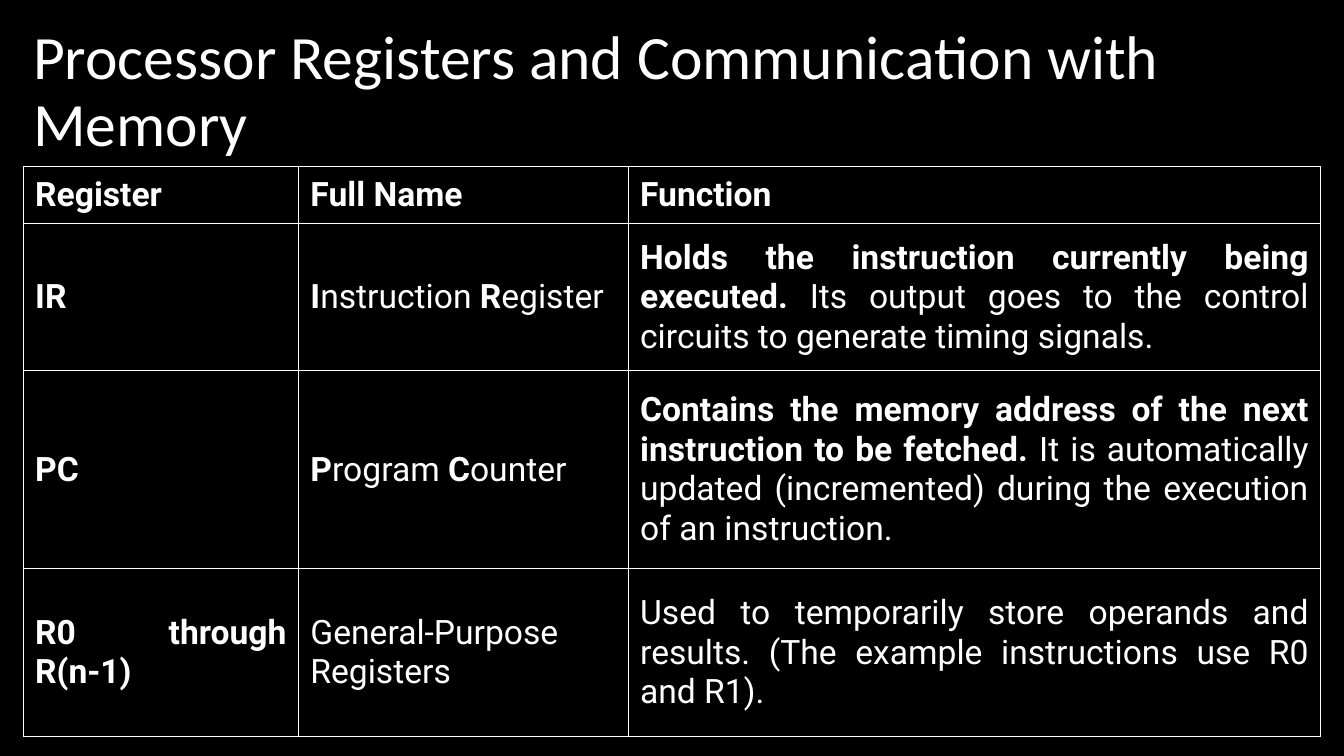
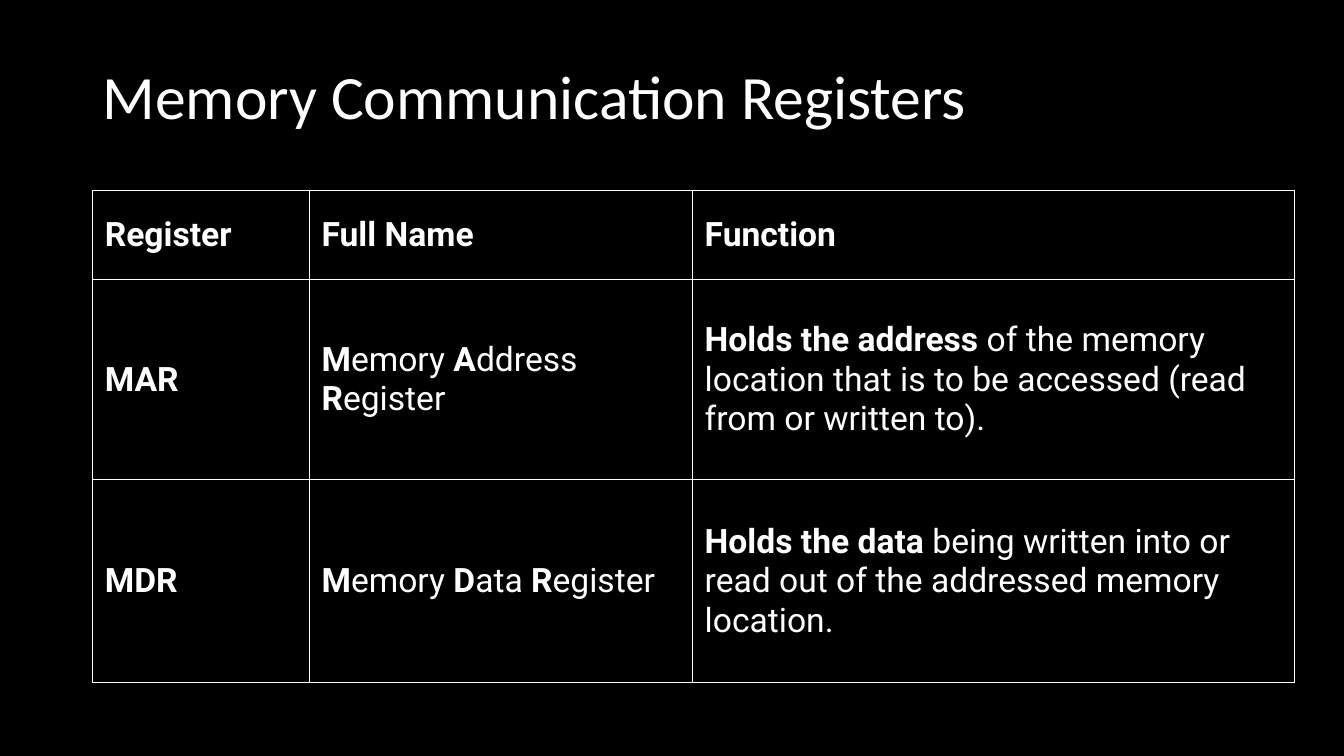
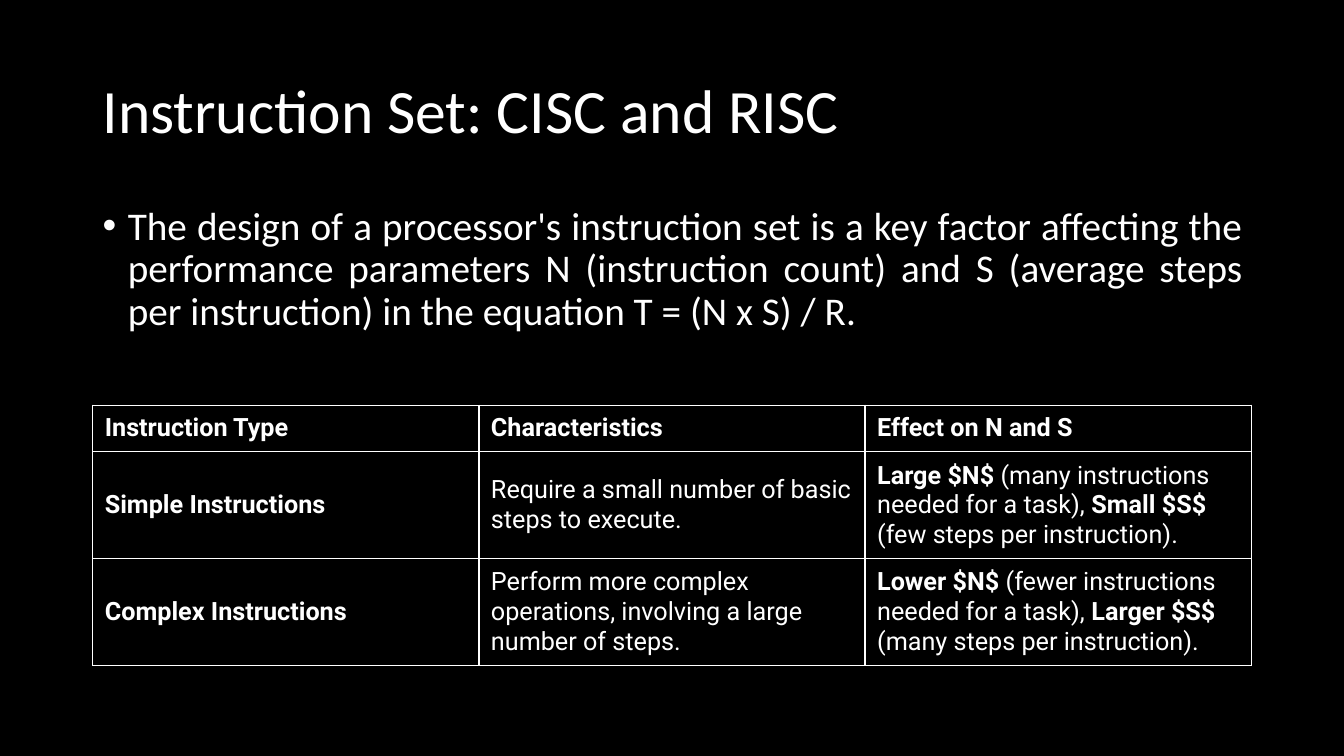
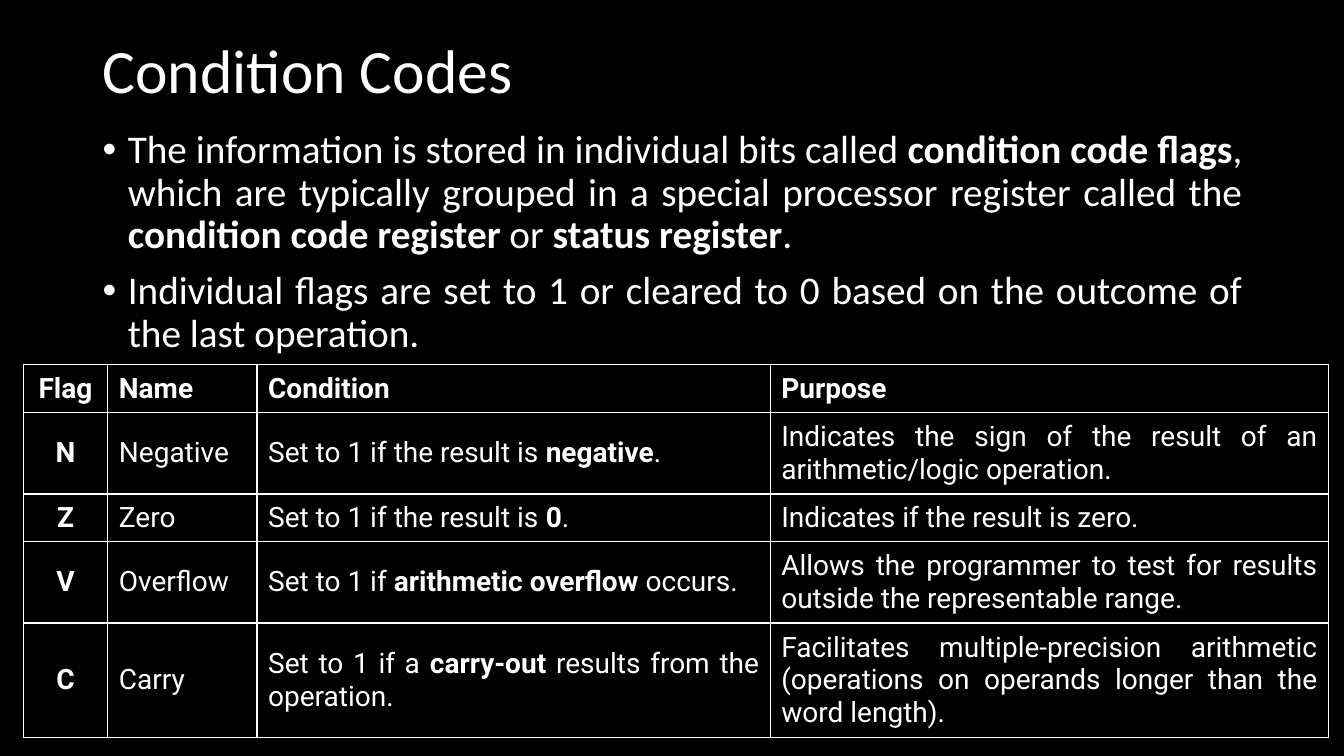
from lxml import etree
from pptx import Presentation
from pptx.dml.color import RGBColor
from pptx.enum.text import MSO_ANCHOR, PP_ALIGN
from pptx.oxml.ns import qn
from pptx.util import Inches, Pt

BLACK = RGBColor(0x00, 0x00, 0x00)
WHITE = RGBColor(0xFF, 0xFF, 0xFF)
TEXT_FONT = "Calibri"
TABLE_FONT = "Roboto"
LEFT, CENTER, JUSTIFY = PP_ALIGN.LEFT, PP_ALIGN.CENTER, PP_ALIGN.JUSTIFY
TOP, MIDDLE = MSO_ANCHOR.TOP, MSO_ANCHOR.MIDDLE
BORDER_SIDES = ("a:lnL", "a:lnR", "a:lnT", "a:lnB")
BORDER_WIDTH = Pt(1)
BULLET_INDENT = Inches(0.25)
TITLE_HEIGHT = 1.45
BODY_HEIGHT = 4.76
LINE_SPACING = 0.9

REGISTERS = [
    ["*Register*", "*Full Name*", "*Function*"],
    ["*IR*", "*I*nstruction *R*egister",
     "*Holds the instruction currently being executed.* Its output goes to the "
     "control circuits to generate timing signals."],
    ["*PC*", "*P*rogram *C*ounter",
     "*Contains the memory address of the next instruction to be fetched.* It is "
     "automatically updated (incremented) during the execution of an instruction."],
    ["*R0 through R(n-1)*", "General-Purpose Registers",
     "Used to temporarily store operands and results. (The example instructions "
     "use R0 and R1)."],
]
MEMORY_REGISTERS = [
    ["*Register*", "*Full Name*", "*Function*"],
    ["*MAR*", "*M*emory *A*ddress *R*egister",
     "*Holds the address* of the memory location that is to be accessed (read "
     "from or written to)."],
    ["*MDR*", "*M*emory *D*ata *R*egister",
     "*Holds the data* being written into or read out of the addressed memory "
     "location."],
]
INSTRUCTION_TYPES = [
    ["*Instruction Type*", "*Characteristics*", "*Effect on N and S*"],
    ["*Simple Instructions*", "Require a small number of basic steps to execute.",
     "*Large $N$* (many instructions needed for a task), *Small $S$* (few steps "
     "per instruction)."],
    ["*Complex Instructions*",
     "Perform more complex operations, involving a large number of steps.",
     "*Lower $N$* (fewer instructions needed for a task), *Larger $S$* (many "
     "steps per instruction)."],
]
FLAGS = [
    ["*Flag*", "*Name*", "*Condition*", "*Purpose*"],
    ["*N*", "Negative", "Set to 1 if the result is *negative*.",
     "Indicates the sign of the result of an arithmetic/logic operation."],
    ["*Z*", "Zero", "Set to 1 if the result is *0*.",
     "Indicates if the result is zero."],
    ["*V*", "Overflow", "Set to 1 if *arithmetic overflow* occurs.",
     "Allows the programmer to test for results outside the representable range."],
    ["*C*", "Carry", "Set to 1 if a *carry-out* results from the operation.",
     "Facilitates multiple-precision arithmetic (operations on operands longer "
     "than the word length)."],
]
INSTRUCTION_SET_POINTS = [
    "The design of a processor's instruction set is a key factor affecting the "
    "performance parameters N (instruction count) and S (average steps per "
    "instruction) in the equation T = (N x S) / R.",
]
CONDITION_CODE_POINTS = [
    "The information is stored in individual bits called *condition code flags*, "
    "which are typically grouped in a special processor register called the "
    "*condition code register* or *status register*.",
    "Individual flags are set to 1 or cleared to 0 based on the outcome of the "
    "last operation.",
]


def add_runs(para, marked_text, font, size):
    for index, part in enumerate(marked_text.split("*")):
        if part:
            span = para.add_run()
            span.text = part
            span.font.name = font
            span.font.size = Pt(size)
            span.font.bold = index % 2 == 1
            span.font.color.rgb = WHITE


def add_text_frame(page, left, top, width, height, anchor):
    box = page.shapes.add_textbox(
        Inches(left), Inches(top), Inches(width), Inches(height))
    frame = box.text_frame
    frame.word_wrap = True
    frame.vertical_anchor = anchor
    return frame


def add_title(page, text, left, top, width=11.5):
    frame = add_text_frame(page, left, top, width, TITLE_HEIGHT, MIDDLE)
    para = frame.paragraphs[0]
    para.line_spacing = LINE_SPACING
    add_runs(para, text, TEXT_FONT, 44)


def add_bullets(page, points, left, top, width=11.5):
    frame = add_text_frame(page, left, top, width, BODY_HEIGHT, TOP)
    for index, point in enumerate(points):
        para = frame.add_paragraph() if index else frame.paragraphs[0]
        para.alignment = JUSTIFY
        para.line_spacing = LINE_SPACING
        if index:
            para.space_before = Pt(10)
        properties = para._p.get_or_add_pPr()
        properties.set("marL", str(BULLET_INDENT))
        properties.set("indent", str(-BULLET_INDENT))
        etree.SubElement(properties, qn("a:buFont")).set("typeface", "Arial")
        etree.SubElement(properties, qn("a:buChar")).set("char", "•")
        add_runs(para, point, TEXT_FONT, 28)


def add_borders(cell):
    properties = cell._tc.get_or_add_tcPr()
    for index, side in enumerate(BORDER_SIDES):
        line = etree.Element(qn(side), w=str(BORDER_WIDTH))
        fill = etree.SubElement(line, qn("a:solidFill"))
        etree.SubElement(fill, qn("a:srgbClr")).set("val", str(WHITE))
        properties.insert(index, line)


def add_grid(page, rows, left, top, widths, heights, size, alignments,
             margins=(0.12, 0.08)):
    frame = page.shapes.add_table(
        len(rows), len(widths), Inches(left), Inches(top),
        Inches(sum(widths)), Inches(sum(heights)))
    table = frame.table
    table.first_row = False
    table.horz_banding = False
    for column, width in zip(table.columns, widths):
        column.width = Inches(width)
    for row, height, texts in zip(table.rows, heights, rows):
        row.height = Inches(height)
        for cell, text, alignment in zip(row.cells, texts, alignments):
            cell.fill.background()
            add_borders(cell)
            cell.vertical_anchor = MIDDLE
            cell.margin_left = cell.margin_right = Inches(margins[0])
            cell.margin_top = cell.margin_bottom = Inches(margins[1])
            para = cell.text_frame.paragraphs[0]
            para.alignment = alignment
            add_runs(para, text, TABLE_FONT, size)


def build_registers(page):
    add_title(page, "Processor Registers and Communication with Memory",
              0.23, 0.2, 13.11)
    add_grid(page, REGISTERS, 0.23, 1.65, [2.73, 3.27, 6.87],
             [0.57, 1.46, 1.96, 1.67], 24, [JUSTIFY] * 3)


def build_memory_registers(page):
    add_title(page, "Memory Communication Registers", 0.92, 0.26)
    add_grid(page, MEMORY_REGISTERS, 0.92, 1.89, [2.15, 3.8, 5.97],
             [0.88, 1.99, 2.01], 24, [LEFT] * 3)


def build_instruction_set(page):
    add_title(page, "Instruction Set: CISC and RISC", 0.92, 0.4)
    add_bullets(page, INSTRUCTION_SET_POINTS, 0.92, 2)
    add_grid(page, INSTRUCTION_TYPES, 0.92, 4.02, [3.83] * 3,
             [0.46, 1.05, 1.05], 18, [LEFT] * 3)


def build_condition_codes(page):
    add_title(page, "Condition Codes", 0.92, 0)
    add_bullets(page, CONDITION_CODE_POINTS, 0.92, 1.24)
    add_grid(page, FLAGS, 0.23, 3.62, [0.84, 1.48, 5.09, 5.54],
             [0.47, 0.79, 0.47, 0.79, 1.12], 20, [CENTER] + [JUSTIFY] * 3,
             margins=(0.11, 0.07))


def main():
    deck = Presentation()
    deck.slide_width = Inches(13.33)
    deck.slide_height = Inches(7.5)
    background = deck.slide_master.background.fill
    background.solid()
    background.fore_color.rgb = BLACK
    for build in (build_registers, build_memory_registers,
                  build_instruction_set, build_condition_codes):
        build(deck.slides.add_slide(deck.slide_layouts[6]))
    deck.save("out.pptx")


if __name__ == "__main__":
    main()
